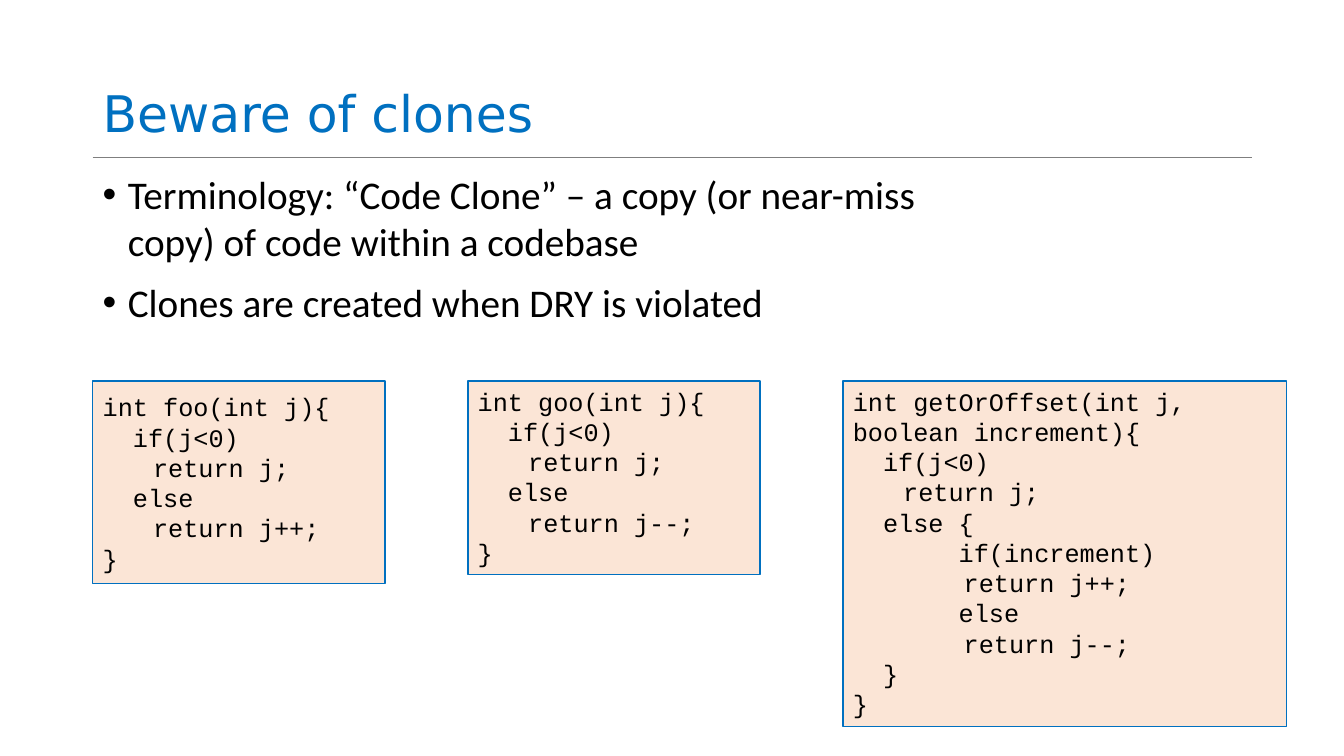
import pptx
import pptx.util
import pptx.dml.color
import pptx.enum.shapes
import pptx.enum.text
import pptx.oxml
import pptx.oxml.ns
import lxml.etree

Inches = pptx.util.Inches
Pt = pptx.util.Pt
Anchor = pptx.enum.text.MSO_ANCHOR
Fit = pptx.enum.text.MSO_AUTO_SIZE

COLORS = {"accent": "0070C0", "ink": "000000", "code_fill": "FBE5D6", "rule": "7F7F7F"}

TITLE = "Beware of clones"
POINTS = [
    "Terminology: “Code Clone” – a copy (or near-miss copy) of code within a codebase",
    "Clones are created when DRY is violated",
]
FOO = ["int foo(int j){", "  if(j<0)", "  \treturn j;", "  else", "  \treturn j++;", "}"]
GOO = ["int goo(int j){", "  if(j<0)", "  \treturn j;", "  else", "  \treturn j--;", "}"]
GET_OR_OFFSET = [
    "int getOrOffset(int j, boolean increment){",
    "  if(j<0)",
    "  \treturn j;",
    "  else {",
    "       if(increment)",
    " \t    return j++;",
    "       else",
    "  \t    return j--;",
    "  }",
    "}",
]
CLONES = [
    (FOO, 2.9, 2.01, {"vertical_anchor": Anchor.MIDDLE}),
    (GOO, 2.9, 1.92, {"auto_size": Fit.SHAPE_TO_FIT_TEXT}),
    (GET_OR_OFFSET, 4.4, 3.43, {"auto_size": Fit.SHAPE_TO_FIT_TEXT}),
]

LEFT = 0.92
CONTENT_WIDTH = 11.5
RULE_TOP = 1.56
CLONE_TOP = 3.78
CLONE_STEP = 3.72

FONTS = {
    "title": ({"name": "DejaVu Sans", "size": Pt(36)}, "accent"),
    "points": ({"name": "Calibri", "size": Pt(28)}, "ink"),
    "code": ({"name": "Courier New", "size": Pt(18)}, "ink"),
}


def rgb(color):
    return pptx.dml.color.RGBColor.from_string(COLORS[color])


def apply(target, values):
    for attribute, value in values.items():
        setattr(target, attribute, value)


def write(frame, lines, role, frame_format):
    apply(frame, {"word_wrap": True, "vertical_anchor": Anchor.TOP, **frame_format})
    font_format, color = FONTS[role]
    for index, line in enumerate(lines):
        paragraph = frame.add_paragraph() if index else frame.paragraphs[0]
        paragraph.alignment = pptx.enum.text.PP_ALIGN.LEFT
        run = paragraph.add_run()
        run.text = line
        apply(run.font, font_format)
        run.font.color.rgb = rgb(color)
    return frame.paragraphs


def add_bullet(paragraph):
    properties = paragraph._p.get_or_add_pPr()
    properties.set("marL", str(Inches(0.25)))
    properties.set("indent", str(Inches(-0.25)))
    for tag, key, value in (("a:buFont", "typeface", "Arial"), ("a:buChar", "char", "•")):
        lxml.etree.SubElement(properties, pptx.oxml.ns.qn(tag)).set(key, value)


def main():
    deck = pptx.Presentation()
    apply(deck, {"slide_width": Inches(13.33), "slide_height": Inches(7.5)})
    slide = deck.slides.add_slide(deck.slide_layouts[6])
    shapes = slide.shapes

    rule = shapes.add_connector(
        pptx.enum.shapes.MSO_CONNECTOR.STRAIGHT,
        Inches(LEFT), Inches(RULE_TOP), Inches(LEFT + CONTENT_WIDTH), Inches(RULE_TOP),
    )
    rule.line.color.rgb = rgb("rule")
    rule.line.width = Pt(0.5)
    lxml.etree.SubElement(rule._element.spPr, pptx.oxml.ns.qn("a:effectLst"))

    title = shapes.add_textbox(Inches(LEFT), Inches(0.02), Inches(CONTENT_WIDTH), Inches(1.45))
    heading = write(title.text_frame, [TITLE], "title", {"vertical_anchor": Anchor.BOTTOM})
    heading[0].line_spacing = 0.9

    body = shapes.add_textbox(Inches(LEFT), Inches(1.64), Inches(8.63), Inches(4.76))
    for index, point in enumerate(write(body.text_frame, POINTS, "points", {})):
        add_bullet(point)
        point.space_before = Pt(10 if index else 0)

    for index, (code, width, height, frame_format) in enumerate(CLONES):
        clone = shapes.add_shape(
            pptx.enum.shapes.MSO_SHAPE.RECTANGLE,
            Inches(LEFT + index * CLONE_STEP), Inches(CLONE_TOP), Inches(width), Inches(height),
        )
        clone.shadow.inherit = False
        clone.fill.solid()
        clone.fill.fore_color.rgb = rgb("code_fill")
        clone.line.color.rgb = rgb("accent")
        clone.line.width = Pt(1)
        write(clone.text_frame, code, "code", frame_format)

    deck.save("out.pptx")


if __name__ == "__main__":
    main()
